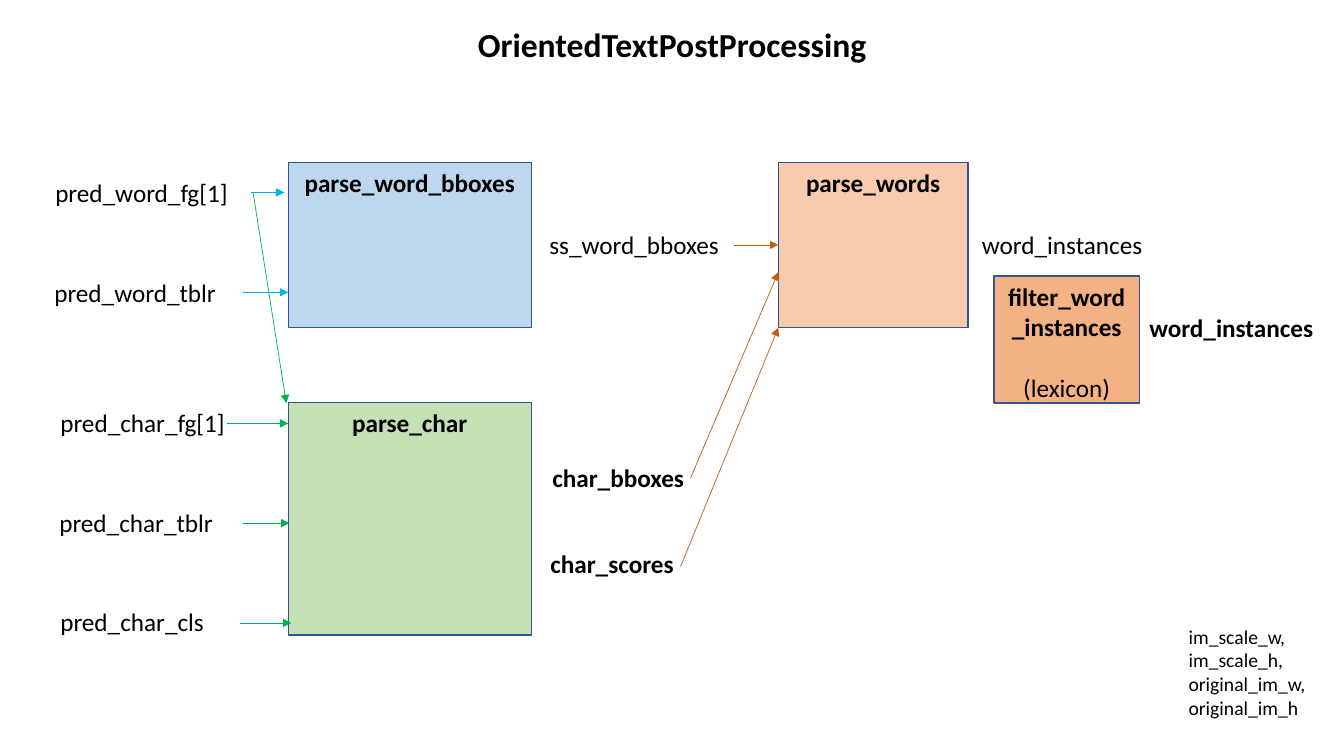
from typing import NamedTuple

from lxml import etree
from pptx import Presentation
from pptx.dml.color import RGBColor
from pptx.enum.shapes import MSO_CONNECTOR, MSO_SHAPE
from pptx.enum.text import MSO_ANCHOR, MSO_AUTO_SIZE, PP_ALIGN
from pptx.oxml.ns import qn
from pptx.util import Inches, Pt

RECTANGLE = MSO_SHAPE.RECTANGLE
STRAIGHT = MSO_CONNECTOR.STRAIGHT
TOP = MSO_ANCHOR.TOP
NO_FIT = MSO_AUTO_SIZE.NONE
LEFT, CENTER = PP_ALIGN.LEFT, PP_ALIGN.CENTER

FONT = "Calibri"
BLACK = RGBColor(0x00, 0x00, 0x00)
OUTLINE = RGBColor(0x32, 0x54, 0x91)
PALE_BLUE = RGBColor(0xBD, 0xD7, 0xEE)
PALE_GREEN = RGBColor(0xC5, 0xE0, 0xB4)
PALE_ORANGE = RGBColor(0xF8, 0xCB, 0xAD)
ORANGE = RGBColor(0xF4, 0xB1, 0x83)
WORD_BLUE = RGBColor(0x00, 0xB0, 0xF0)
CHAR_GREEN = RGBColor(0x00, 0xB0, 0x50)
MERGE_BROWN = RGBColor(0xC5, 0x5A, 0x11)


class Label(NamedTuple):
    text: str
    left: float
    top: float
    width: float
    height: float = 0.4
    size: int = 18
    bold: bool = False


class Stage(NamedTuple):
    text: str
    left: float
    top: float
    width: float
    height: float
    fill: RGBColor


class Arrow(NamedTuple):
    start: tuple[float, float]
    end: tuple[float, float]
    color: RGBColor


TITLE = Label("OrientedTextPostProcessing", 4.64, 0.19, 4.15, 0.5, 24, True)

LABELS = [
    Label("pred_word_fg[1]", 0.45, 1.71, 1.93),
    Label("pred_word_tblr", 0.44, 2.7, 1.82),
    Label("pred_char_fg[1]", 0.5, 3.99, 1.85),
    Label("pred_char_tblr", 0.49, 4.98, 1.74),
    Label("pred_char_cls", 0.5, 5.97, 1.64),
    Label("ss_word_bboxes", 5.35, 2.23, 2.17),
    Label("char_bboxes", 5.38, 4.54, 1.74, bold=True),
    Label("char_scores", 5.36, 5.39, 1.49, bold=True),
    Label("word_instances", 9.64, 2.23, 1.88),
    Label("word_instances", 11.3, 3.05, 1.88, bold=True),
    Label("im_scale_w, im_scale_h, original_im_w, original_im_h",
          11.69, 6.15, 1.64, 1.04, 14),
]

STAGES = [
    Stage("parse_word_bboxes", 2.86, 1.61, 2.41, 1.64, PALE_BLUE),
    Stage("parse_char", 2.86, 3.99, 2.41, 2.31, PALE_GREEN),
    Stage("parse_words", 7.72, 1.61, 1.88, 1.64, PALE_ORANGE),
    Stage("filter_word_instances\n(lexicon)", 9.86, 2.74, 1.44, 1.26, ORANGE),
]

ARROWS = [
    Arrow((2.49, 1.91), (2.82, 1.91), WORD_BLUE),
    Arrow((2.41, 2.9), (2.86, 2.9), WORD_BLUE),
    Arrow((2.25, 4.2), (2.86, 4.2), CHAR_GREEN),
    Arrow((2.41, 5.19), (2.87, 5.19), CHAR_GREEN),
    Arrow((2.38, 6.18), (2.89, 6.18), CHAR_GREEN),
    Arrow((2.51, 1.91), (2.84, 4.0), CHAR_GREEN),
    Arrow((7.28, 2.43), (7.72, 2.43), MERGE_BROWN),
    Arrow((6.85, 4.74), (7.72, 2.7), MERGE_BROWN),
    Arrow((6.75, 5.62), (7.72, 3.25), MERGE_BROWN),
]


def write(box, text: str, size: int, bold: bool, alignment) -> None:
    frame = box.text_frame
    frame.text = text
    frame.word_wrap = True
    frame.auto_size = NO_FIT
    frame.vertical_anchor = TOP
    for para in frame.paragraphs:
        para.alignment = alignment
        for span in para.runs:
            span.font.name = FONT
            span.font.size = Pt(size)
            span.font.bold = bold
            span.font.color.rgb = BLACK


def place_title(page, label: Label) -> None:
    title = page.shapes.title
    title.left, title.top = Inches(label.left), Inches(label.top)
    title.width, title.height = Inches(label.width), Inches(label.height)
    write(title, label.text, label.size, label.bold, LEFT)


def draw_label(page, label: Label) -> None:
    box = page.shapes.add_textbox(Inches(label.left), Inches(label.top),
                                  Inches(label.width), Inches(label.height))
    write(box, label.text, label.size, label.bold, LEFT)


def draw_stage(page, stage: Stage) -> None:
    box = page.shapes.add_shape(RECTANGLE, Inches(stage.left), Inches(stage.top),
                                Inches(stage.width), Inches(stage.height))
    box.shadow.inherit = False
    box.fill.solid()
    box.fill.fore_color.rgb = stage.fill
    box.line.color.rgb = OUTLINE
    box.line.width = Pt(1)
    write(box, stage.text, 18, True, CENTER)
    for para in box.text_frame.paragraphs[1:]:
        para.space_before = Pt(22)
        for span in para.runs:
            span.font.bold = False


def draw_arrow(page, arrow: Arrow) -> None:
    connector = page.shapes.add_connector(
        STRAIGHT, *(Inches(value) for value in arrow.start + arrow.end))
    connector.line.color.rgb = arrow.color
    connector.line.width = Pt(0.5)
    properties = connector.element.spPr
    etree.SubElement(properties.find(qn("a:ln")), qn("a:tailEnd"), type="triangle")
    etree.SubElement(properties, qn("a:effectLst"))


def main() -> None:
    deck = Presentation()
    deck.slide_width, deck.slide_height = Inches(13.33), Inches(7.5)
    page = deck.slides.add_slide(deck.slide_layouts.get_by_name("Title Only"))
    place_title(page, TITLE)
    for label in LABELS:
        draw_label(page, label)
    for stage in STAGES:
        draw_stage(page, stage)
    for arrow in ARROWS:
        draw_arrow(page, arrow)
    deck.save("out.pptx")


if __name__ == "__main__":
    main()
